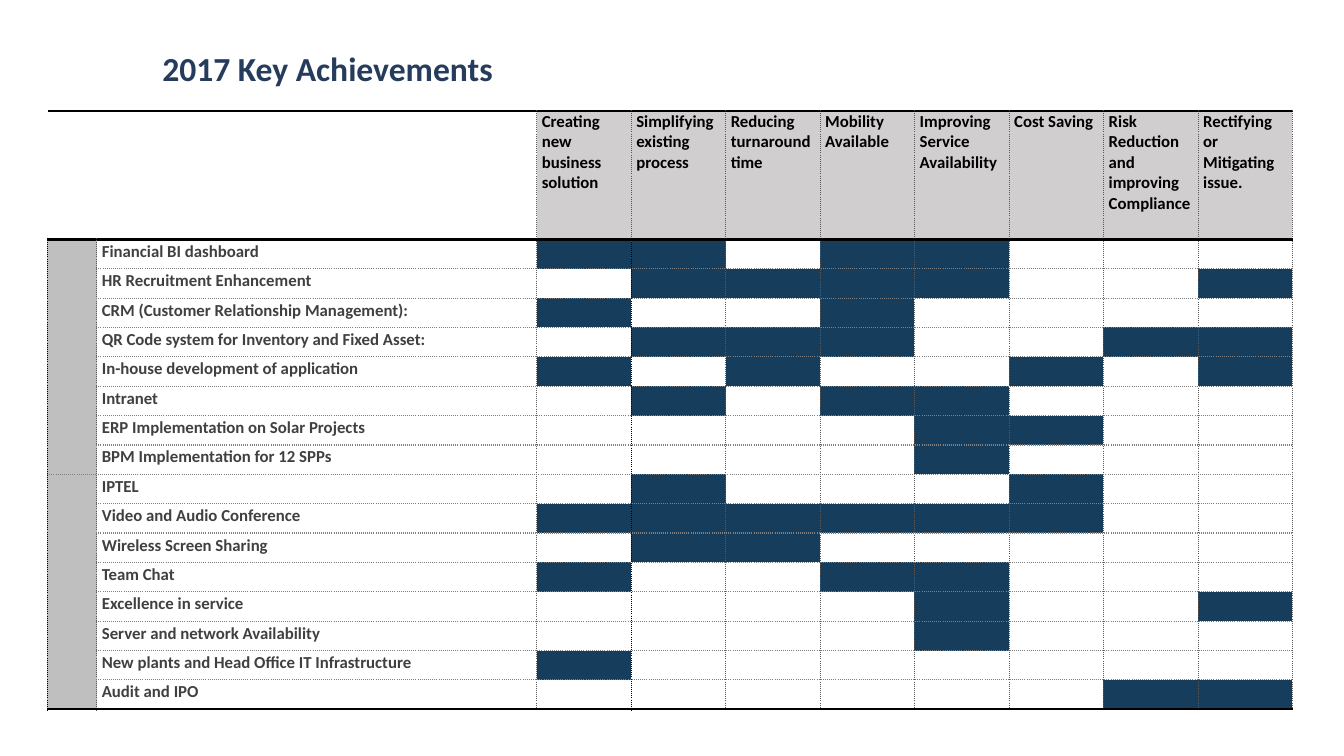
"""Build the 2017 key achievements matrix slide."""
from dataclasses import dataclass

from lxml import etree
from pptx import Presentation
from pptx import util as u
from pptx.dml.color import RGBColor
from pptx.enum import text
from pptx.oxml import ns

BENEFITS = [
    "Creating new business solution", "Simplifying existing process",
    "Reducing turnaround time", "Mobility Available",
    "Improving Service Availability", "Cost Saving",
    "Risk Reduction and improving Compliance",
    "Rectifying or Mitigating issue.",
]
PROJECTS = [
    ("Financial BI dashboard", "XX.XX..."),
    ("HR Recruitment Enhancement", ".XXXX..X"),
    ("CRM (Customer Relationship Management):", "X..X...."),
    ("QR Code system for Inventory and Fixed Asset:", ".XXX..XX"),
    ("In-house development of application", "X.X..X.X"),
    ("Intranet", ".X.XX..."),
    ("ERP Implementation on Solar Projects", "....XX.."),
    ("BPM Implementation for 12 SPPs", "....X..."),
    ("IPTEL", ".X...X.."),
    ("Video and Audio Conference", "XXXXXX.."),
    ("Wireless Screen Sharing", ".XX....."),
    ("Team Chat", "X..XX..."),
    ("Excellence in service", "....X..X"),
    ("Server and network Availability", "....X..."),
    ("New plants and Head Office IT Infrastructure", "X......."),
    ("Audit and IPO", "......XX"),
]
GROUP_SIZE = 8


@dataclass(frozen=True)
class Theme:
    """Colours, type sizes and border styles (colour, points, dash)."""
    font: str = "Calibri"
    title: str = "263C5C"
    head_text: str = "000000"
    label_text: str = "404040"
    head_fill: str = "D0CECE"
    group_fill: str = "BFBFBF"
    mark_fill: str = "173D5C"
    title_size: int = 24
    table_size: int = 12
    frame: tuple = ("000000", 1.5, "solid")
    head_rule: tuple = ("000000", 3, "solid")
    row_rule: tuple = ("808080", 1, "sysDot")
    column_rule: tuple = ("595959", 0.5, "sysDot")
    hairline: tuple = ("000000", 0.25, "sysDot")


def px(n):
    """Turn pixels into EMU."""
    return u.Emu(n * 9525)


class Deck:
    """Hold the theme and current slide and draw its elements."""

    def __init__(self, theme):
        self.theme = theme
        self.prs = Presentation()
        self.prs.slide_width, self.prs.slide_height = px(1280), px(720)
        self.s = self.prs.slides.add_slide(self.prs.slide_layouts[5])

    def style(self, p, size, color):
        """Format a paragraph in the theme font."""
        p.alignment = text.PP_ALIGN.LEFT
        p.font.name, p.font.size, p.font.bold = self.theme.font, u.Pt(size), True
        p.font.color.rgb = RGBColor.from_string(color)

    def title(self, words, x, y, w, h):
        """Place the slide title."""
        sp = self.s.shapes.title
        sp.left, sp.top, sp.width, sp.height = map(px, (x, y, w, h))
        tf = sp.text_frame
        tf.text = words
        tf.auto_size = text.MSO_AUTO_SIZE.NONE
        tf.vertical_anchor = text.MSO_ANCHOR.TOP
        tf.paragraphs[0].line_spacing = 0.9
        self.style(tf.paragraphs[0], self.theme.title_size, self.theme.title)

    def table(self, x, y, widths, heights):
        """Add an unbanded table with the given column and row sizes."""
        frame = self.s.shapes.add_table(
            len(heights), len(widths), px(x), px(y), px(sum(widths)), px(sum(heights)))
        tbl = frame.table
        tbl.first_row = tbl.horz_banding = False
        for col, width in zip(tbl.columns, widths):
            col.width = px(width)
        for row, height in zip(tbl.rows, heights):
            row.height = px(height)
        return tbl

    def border(self, cell, side, rule):
        """Draw one side of a cell."""
        color, width, dash = rule
        ln = etree.SubElement(cell._tc.get_or_add_tcPr(), ns.qn(f"a:ln{side}"),
                              w=str(u.Pt(width)))
        fill = etree.SubElement(ln, ns.qn("a:solidFill"))
        etree.SubElement(fill, ns.qn("a:srgbClr"), val=color)
        etree.SubElement(ln, ns.qn("a:prstDash"), val=dash)

    def borders(self, tbl):
        """Rule every visible cell of the matrix."""
        t, last = self.theme, len(tbl.rows)
        rows = {0: t.frame, 1: t.head_rule, last: t.frame}
        for r in range(last):
            columns = {0: t.hairline, 3: t.hairline} if r else {}
            for c in range(len(tbl.columns)):
                cell = tbl.cell(r, c)
                if cell.is_spanned:
                    continue
                height = cell.span_height if cell.is_merge_origin else 1
                width = cell.span_width if cell.is_merge_origin else 1
                if r or c:
                    self.border(cell, "L", columns.get(c, t.column_rule))
                self.border(cell, "R", columns.get(c + width, t.column_rule))
                self.border(cell, "T", rows.get(r, t.row_rule))
                self.border(cell, "B", rows.get(r + height, t.row_rule))

    def cell(self, cell, words="", fill=None, color="000000", bottom=1, top=0, hang=0):
        """Fill a cell and write its words."""
        cell.margin_left = cell.margin_right = px(5)
        cell.margin_top, cell.margin_bottom = px(top), px(bottom)
        if fill:
            cell.fill.solid()
            cell.fill.fore_color.rgb = RGBColor.from_string(fill)
        else:
            cell.fill.background()
        p = cell.text_frame.paragraphs[0]
        if words:
            p.text = words
            if hang:
                pPr = p._p.get_or_add_pPr()
                pPr.set("marL", str(px(hang)))
                pPr.set("indent", str(px(-hang)))
            self.style(p, self.theme.table_size, color)
        else:
            etree.SubElement(p._p, ns.qn("a:endParaRPr"),
                             sz=str(self.theme.table_size * 100))


def main():
    """Build and save the slide."""
    t = Theme()
    deck = Deck(t)
    deck.title("2017 Key Achievements", 145, 45, 924, 54)
    tbl = deck.table(45, 106, [47, 419] + [90] * len(BENEFITS),
                     [122] + [28] * len(PROJECTS))
    tbl.cell(0, 0).merge(tbl.cell(0, 1))
    for r in range(1, len(PROJECTS), GROUP_SIZE):
        tbl.cell(r, 0).merge(tbl.cell(r + GROUP_SIZE - 1, 0))
    deck.borders(tbl)

    for c in (0, 1):
        deck.cell(tbl.cell(0, c))
    for c, benefit in enumerate(BENEFITS, 2):
        deck.cell(tbl.cell(0, c), benefit, t.head_fill, t.head_text, bottom=5)
    for r, (project, marks) in enumerate(PROJECTS, 1):
        deck.cell(tbl.cell(r, 0), fill=t.group_fill)
        deck.cell(tbl.cell(r, 1), project, color=t.label_text, top=2, hang=9)
        for c, mark in enumerate(marks, 2):
            deck.cell(tbl.cell(r, c), fill=t.mark_fill if mark == "X" else None)
    deck.prs.save("out.pptx")


if __name__ == "__main__":
    main()
